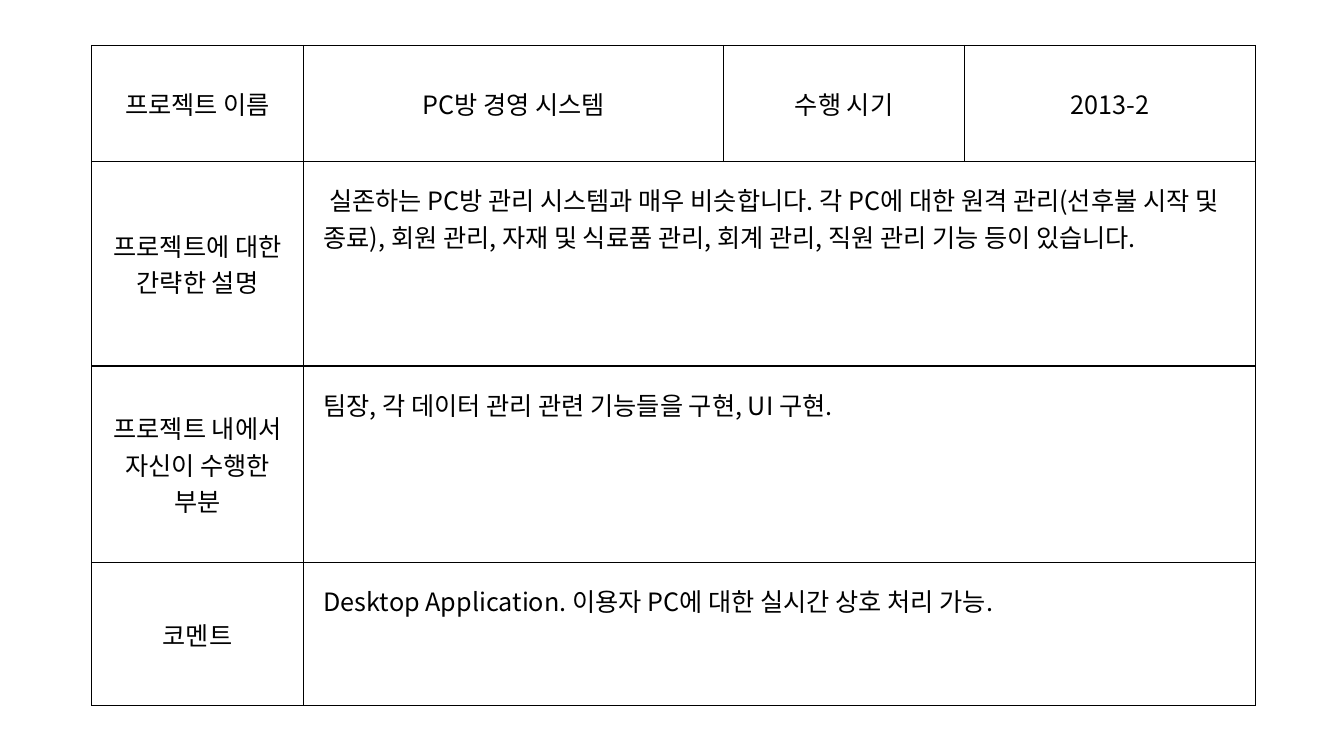
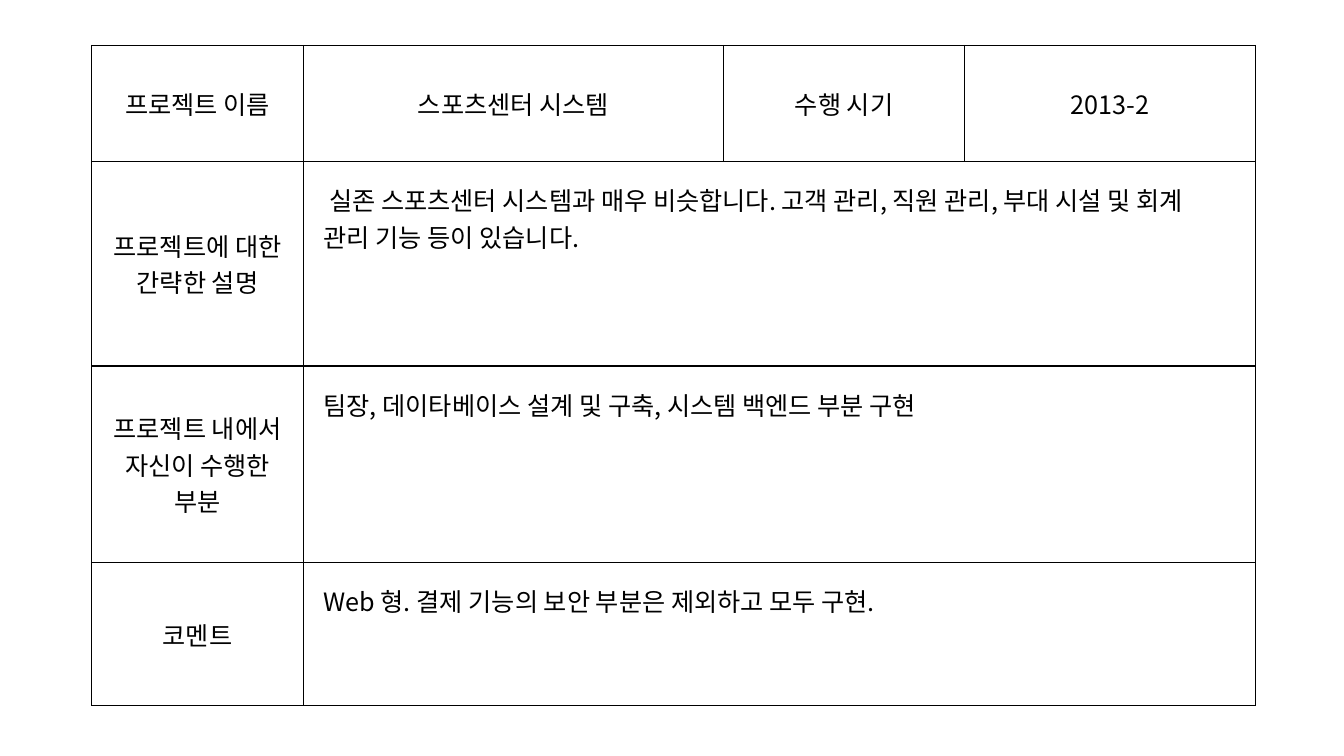
from lxml.etree import SubElement
from pptx import Presentation
from pptx.dml.color import RGBColor
from pptx.enum.text import MSO_ANCHOR, PP_ALIGN
from pptx.oxml.ns import qn
from pptx.util import Pt

# Shared style
FONT = "Noto Sans CJK KR"
BLACK = "000000"
COLS = [151.2, 300.2, 172.1, 208.1]
ROWS = [82.8, 146.2, 140.4, 102.2]
LABELS = ["프로젝트에 대한 간략한 설명", "프로젝트 내에서 자신이 수행한 부분", "코멘트"]

# Name, period, then one text for each label
PROJECTS = [
    ("PC방 경영 시스템", "2013-2", [
        " 실존하는 PC방 관리 시스템과 매우 비슷합니다. 각 PC에 대한 원격 관리(선후불 시작 및 종료), "
        "회원 관리, 자재 및 식료품 관리, 회계 관리, 직원 관리 기능 등이 있습니다.",
        "팀장, 각 데이터 관리 관련 기능들을 구현, UI 구현.",
        "Desktop Application. 이용자 PC에 대한 실시간 상호 처리 가능.",
    ]),
    ("스포츠센터 시스템", "2013-2", [
        " 실존 스포츠센터 시스템과 매우 비슷합니다. 고객 관리, 직원 관리, 부대 시설 및 회계 관리 기능 등이 있습니다.",
        "팀장, 데이타베이스 설계 및 구축, 시스템 백엔드 부분 구현",
        "Web 형. 결제 기능의 보안 부분은 제외하고 모두 구현.",
    ]),
]


def write(cell, text, size=18, color=BLACK, align=PP_ALIGN.CENTER,
          anchor=MSO_ANCHOR.MIDDLE, margin=None, right=None):
    cell.vertical_anchor = anchor
    if margin is not None:
        cell.margin_left = cell.margin_top = cell.margin_bottom = Pt(margin)
        cell.margin_right = Pt(right or margin)
    p = cell.text_frame.paragraphs[0]
    p.alignment = align
    r = p.add_run()
    r.text = text
    r.font.size = Pt(size)
    r.font.name = FONT
    r.font.color.rgb = RGBColor.from_string(color)
    # Korean text takes the East Asian font
    SubElement(r.font._element, qn("a:ea"), typeface=FONT)


def style_cell(cell, color=BLACK, width=1):
    tcPr = cell._tc.get_or_add_tcPr()
    for side in ("lnL", "lnR", "lnT", "lnB"):
        ln = SubElement(tcPr, qn(f"a:{side}"), w=str(Pt(width)))
        fill = SubElement(ln, qn("a:solidFill"))
        SubElement(fill, qn("a:srgbClr"), val=color)
    cell.fill.background()


prs = Presentation()
prs.slide_width, prs.slide_height = Pt(960), Pt(540)

for name, period, texts in PROJECTS:
    s = prs.slides.add_slide(prs.slide_layouts[6])

    # Table grid
    table = s.shapes.add_table(len(ROWS), len(COLS), Pt(65.5), Pt(32.4),
                               Pt(sum(COLS)), Pt(sum(ROWS))).table
    table.first_row = table.horz_banding = False
    for col, width in zip(table.columns, COLS):
        col.width = Pt(width)
    for row, height in zip(table.rows, ROWS):
        row.height = Pt(height)
    for cell in table.iter_cells():
        style_cell(cell)

    # Header row
    for i, text in enumerate(["프로젝트 이름", name, "수행 시기", period]):
        write(table.cell(0, i), text)

    # Label and description rows
    for i, (label, text) in enumerate(zip(LABELS, texts), start=1):
        write(table.cell(i, 0), label)
        body = table.cell(i, 1)
        body.merge(table.cell(i, len(COLS) - 1))
        write(body, text, align=PP_ALIGN.LEFT, anchor=MSO_ANCHOR.TOP,
              margin=14.4, right=22)

prs.save("out.pptx")
